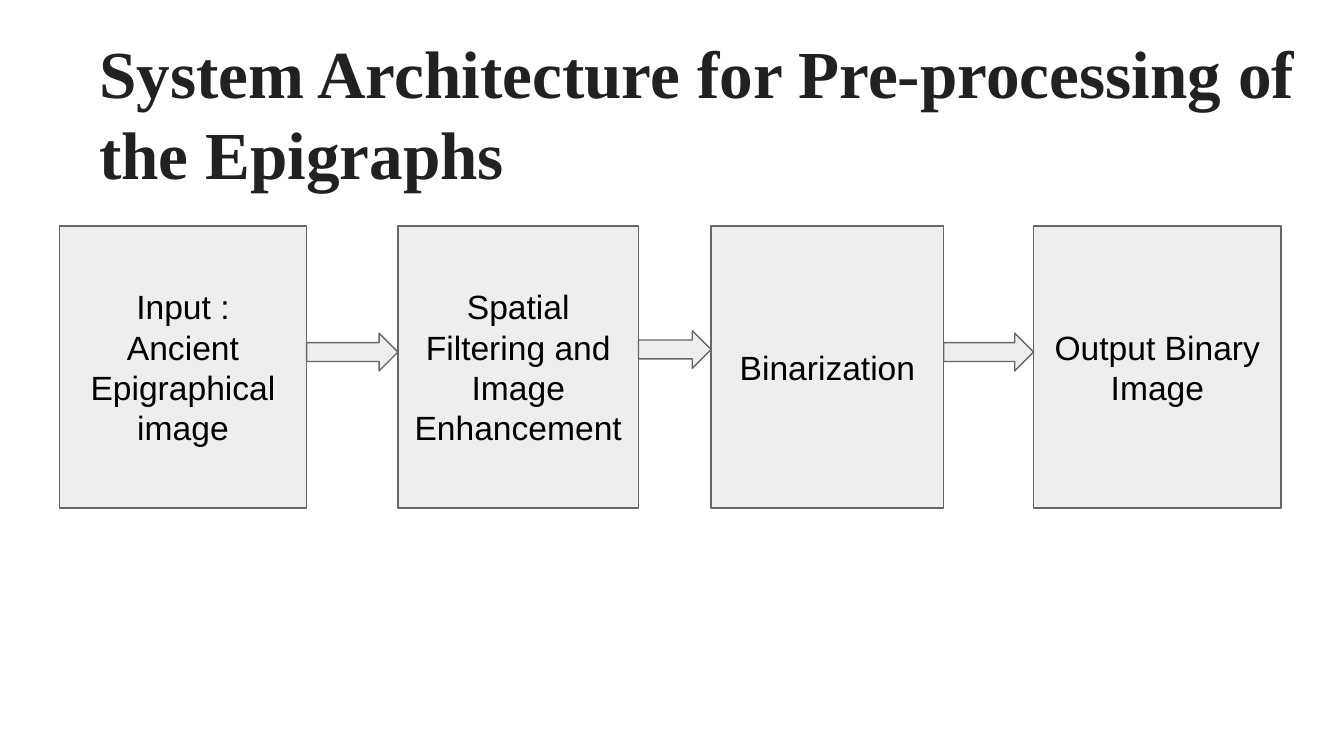
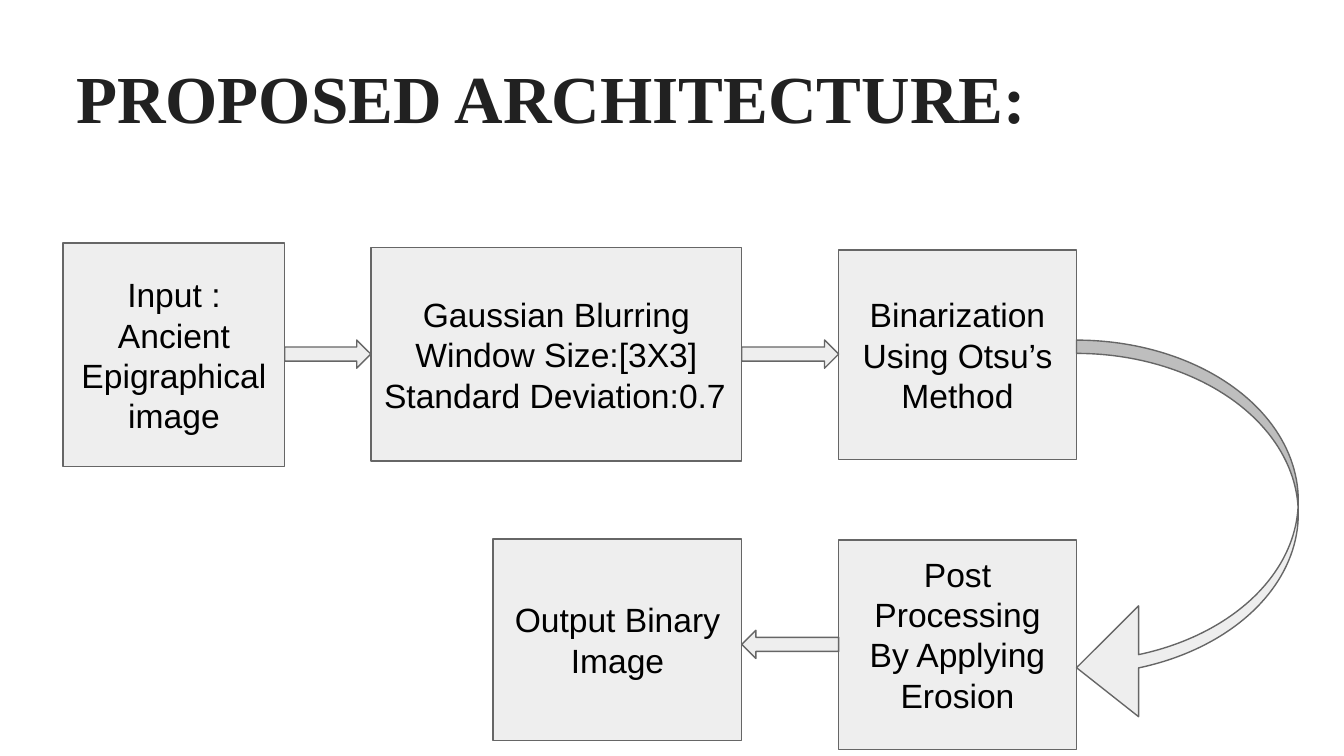
from pptx import Presentation
from pptx.dml.color import RGBColor
from pptx.enum.shapes import MSO_SHAPE
from pptx.enum.text import MSO_ANCHOR, MSO_AUTO_SIZE, PP_ALIGN
from pptx.util import Pt

FILL, EDGE, INK, DARK = "EEEEEE", "666666", "000000", "212121"
HEAD = {"name": "Times New Roman", "size": Pt(36), "bold": True}
BODY = {"name": "Arial", "size": Pt(18), "bold": False}
FRAME = {"word_wrap": True, "auto_size": MSO_AUTO_SIZE.NONE,
         "vertical_anchor": MSO_ANCHOR.MIDDLE,
         "margin_left": Pt(7.2), "margin_right": Pt(7.2),
         "margin_top": Pt(7.2), "margin_bottom": Pt(7.2)}
INPUT = ["Input :", "Ancient", "Epigraphical", "image"]
OUTPUT = ["Output Binary Image"]


def rgb(code):
    return RGBColor.from_string(code)


def apply(item, values):
    for key, value in values.items():
        setattr(item, key, value)


def write(shape, lines, font, color, align, **frame):
    """Fill a shape with one paragraph per line."""
    body = shape.text_frame
    apply(body, FRAME | frame)
    body.text = "\n".join(lines)
    for para in body.paragraphs:
        para.alignment = align
        apply(para.font, font)
        para.font.color.rgb = rgb(color)


def draw(slide, kind, box):
    """Add a grey preset shape with a thin outline."""
    shape = slide.shapes.add_shape(kind, *map(Pt, box))
    shape.shadow.inherit = False
    shape.fill.solid()
    shape.fill.fore_color.rgb = rgb(FILL)
    shape.line.color.rgb = rgb(EDGE)
    shape.line.width = Pt(0.75)
    return shape


def title(slide, box, text, **frame):
    area = slide.shapes.add_textbox(*map(Pt, box))
    write(area, [text], HEAD, DARK, PP_ALIGN.LEFT, **frame)


def step(slide, box, lines, **frame):
    shape = draw(slide, MSO_SHAPE.RECTANGLE, box)
    write(shape, lines, BODY, INK, PP_ALIGN.CENTER, **frame)
    return shape


def arrow(slide, start, end, mid, high):
    """Add a block arrow that spans the gap from start to end."""
    kind = MSO_SHAPE.RIGHT_ARROW if end > start else MSO_SHAPE.LEFT_ARROW
    draw(slide, kind, (min(start, end), mid - high / 2, abs(end - start), high))


def row(slide, box):
    """One row of steps, joined by arrows."""
    left, top, _, high = box
    # Offset, width, lines, and height of the arrow that leads in
    steps = [(0, 132.5, INPUT, None),
             (181.4, 128.9, ["Spatial Filtering and Image Enhancement"], 67.6),
             (349.2, 124.6, ["Binarization"], 66.2),
             (522, 132.5, OUTPUT, 67.6)]
    last = left
    for dx, wide, lines, mid in steps:
        x = left + dx
        step(slide, (x, top, wide, high), lines)
        if mid:
            arrow(slide, last, x, top + mid, 20.2)
        last = x + wide


def loop(slide, box):
    """Steps that run right, turn down and come back left."""
    left, top, wide, high = box

    def put(dx, dy, w, h):
        return left + dx, top + dy, w, h

    # Upper row
    first = put(0, 0, 118.8, 119.5)
    blur = put(164.9, 2.3, 198.7, 114.5)
    split = put(415.5, 3.6, 127.4, 112.3)
    step(slide, first, INPUT)
    shape = step(slide, blur, ["Gaussian Blurring", "Window Size:[3X3]",
                               "Standard Deviation:0.7"])
    shape.text_frame.paragraphs[-1].alignment = PP_ALIGN.LEFT
    step(slide, split, ["Binarization", "Using Otsu’s Method"])

    # Lower row
    post = put(415.5, 159.1, 127.4, 112.3)
    out = put(230.4, 158.4, 133.2, 108)
    step(slide, post, ["Post Processing", "By Applying Erosion"],
         vertical_anchor=MSO_ANCHOR.TOP)
    step(slide, out, OUTPUT)

    # Arrows between the steps
    for one, two, mid in [(first, blur, 59.4), (blur, split, 59.4)]:
        arrow(slide, one[0] + one[2], two[0], top + mid, 15.1)
    arrow(slide, post[0], out[0] + out[2], top + 214.9, 15.1)
    edge = split[0] + split[2]
    turn = draw(slide, MSO_SHAPE.CURVED_LEFT_ARROW,
                (edge, top + 51.9, left + wide - edge, 205.2))
    for i, value in enumerate([0.06, 0.5, 0.28]):
        turn.adjustments[i] = value


def main():
    deck = Presentation()
    deck.slide_width, deck.slide_height = Pt(720), Pt(405)
    blank = deck.slide_layouts[6]

    # Overall architecture
    slide = deck.slides.add_slide(blank)
    row(slide, (31.8, 121, 654.5, 151.2))
    title(slide, (46, 36, 674, 48.2),
          "System Architecture for Pre-processing of the Epigraphs")

    # Proposed architecture
    slide = deck.slides.add_slide(blank)
    title(slide, (33.8, 28, 621.4, 63.4), "PROPOSED ARCHITECTURE:",
          margin_bottom=Pt(23.3))
    loop(slide, (33.8, 130.3, 661.7, 271.4))

    deck.save("out.pptx")


if __name__ == "__main__":
    main()
